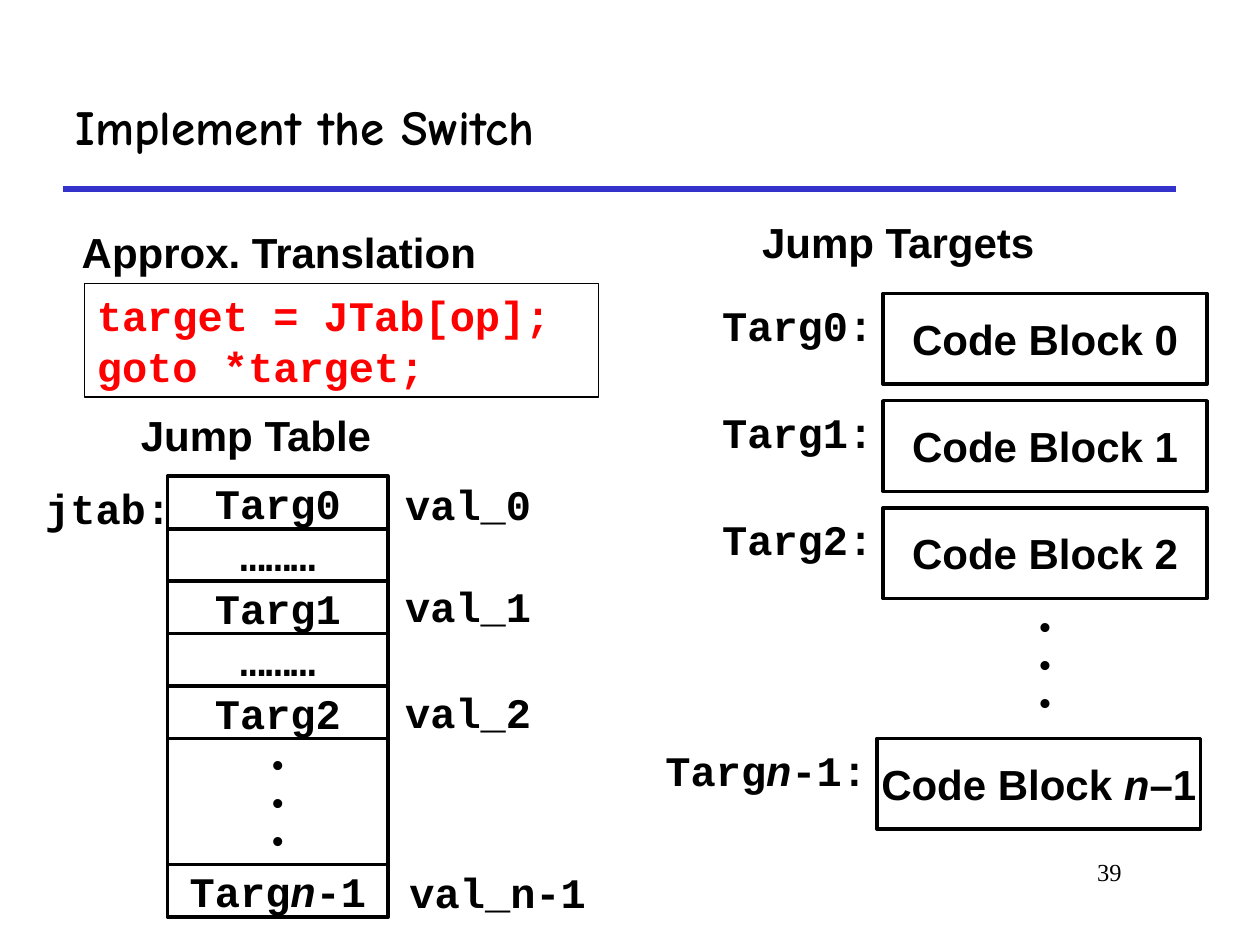
from lxml.etree import SubElement
from pptx import Presentation
from pptx.dml.color import RGBColor
from pptx.enum.shapes import MSO_CONNECTOR, MSO_SHAPE
from pptx.enum.text import MSO_ANCHOR, MSO_AUTO_SIZE, PP_ALIGN
from pptx.oxml.ns import qn
from pptx.util import Inches, Pt

BLACK = RGBColor(0x00, 0x00, 0x00)
WHITE = RGBColor(0xFF, 0xFF, 0xFF)
RED = RGBColor(0xFF, 0x00, 0x00)
BLUE = RGBColor(0x33, 0x33, 0xCC)
SANS, MONO = "Arial", "Courier New"
LEFT, CENTER, RIGHT = PP_ALIGN.LEFT, PP_ALIGN.CENTER, PP_ALIGN.RIGHT
DOTS = [("•",)] * 3


class SlideBuilder:
    """Holds the text style and the slide being drawn."""

    def __init__(self, page):
        self.page = page

    def add_lines(self, frame, lines, font=SANS, size=24, color=BLACK,
                  align=LEFT, bold=True):
        """Each line is a tuple of spans; every second span is italic."""
        for number, line in enumerate(lines):
            para = frame.add_paragraph() if number else frame.paragraphs[0]
            para.alignment = align
            for position, text in enumerate(line):
                span = para.add_run()
                span.text = text
                span.font.name = font
                span.font.size = Pt(size)
                span.font.bold = bold
                span.font.italic = position % 2 == 1
                span.font.color.rgb = color

    def title(self, text, left, top, width, height):
        box = self.page.shapes.title
        box.left, box.top = Inches(left), Inches(top)
        box.width, box.height = Inches(width), Inches(height)
        box.text_frame.vertical_anchor = MSO_ANCHOR.MIDDLE
        box.text_frame.auto_size = MSO_AUTO_SIZE.NONE
        self.add_lines(box.text_frame, [(text,)], "Comic Neue", 28)

    def rule(self, left, right, top):
        line = self.page.shapes.add_connector(
            MSO_CONNECTOR.STRAIGHT, Inches(left), Inches(top),
            Inches(right), Inches(top))
        line.line.color.rgb = BLUE
        line.line.width = Pt(3)
        SubElement(line._element.spPr, qn("a:effectLst"))

    def label(self, lines, left, top, width, height=0.5, wrap=False, **style):
        box = self.page.shapes.add_textbox(
            Inches(left), Inches(top), Inches(width), Inches(height))
        box.text_frame.word_wrap = wrap
        self.add_lines(box.text_frame, lines, **style)

    def rectangle(self, lines, left, top, width, height, fill=WHITE,
                  line_width=2, anchor=MSO_ANCHOR.MIDDLE, wrap=False,
                  align=CENTER, **style):
        box = self.page.shapes.add_shape(
            MSO_SHAPE.RECTANGLE, Inches(left), Inches(top),
            Inches(width), Inches(height))
        box.shadow.inherit = False
        if fill is None:
            box.fill.background()
        else:
            box.fill.solid()
            box.fill.fore_color.rgb = fill
        if line_width:
            box.line.color.rgb = BLACK
            box.line.width = Pt(line_width)
        else:
            box.line.fill.background()
        box.text_frame.word_wrap = wrap
        box.text_frame.vertical_anchor = anchor
        self.add_lines(box.text_frame, lines, align=align, **style)


def draw_targets(builder):
    builder.label([("Jump Targets",)], 5.95, 1.67, 2.38)
    for index in range(3):
        top = 2.33 + 0.85 * index
        builder.rectangle([(f"Code Block {index}",)], 7.01, top, 2.57, 0.72)
        builder.label([(f"Targ{index}:",)], 5.63, top, 1.4,
                      font=MONO, align=RIGHT)
    builder.rectangle(DOTS, 7.01, 4.88, 2.57, 0.78, line_width=0,
                      font=MONO, size=18)
    builder.rectangle([("Code Block ", "n", "–1")], 6.96, 5.86, 2.57, 0.72)
    builder.label([("Targ", "n", "-1:")], 5.18, 5.86, 1.8,
                  font=MONO, align=RIGHT)


def draw_translation(builder):
    builder.label([("Approx. Translation",)], 0.55, 1.75, 3.35)
    builder.rectangle([("target = JTab[op];",), ("goto *target;",)],
                      0.67, 2.25, 4.08, 0.9, fill=None, line_width=1,
                      anchor=MSO_ANCHOR.TOP, wrap=True, align=LEFT,
                      font=MONO, color=RED)


def draw_jump_table(builder):
    left, top, width, row = 1.33, 3.78, 1.75, 2.5 / 6
    builder.label([("Jump Table",)], 1.02, 3.2, 2.05)
    builder.label([("jtab:",)], 0.26, top, 1.2, font=MONO)

    # Entries with a gap row between each two
    entries = ["Targ0", "………", "Targ1", "………", "Targ2"]
    for index, entry in enumerate(entries):
        builder.rectangle([(entry,)], left, top + row * index, width, row,
                          font=MONO)
    dots_top = top + row * len(entries)
    builder.rectangle(DOTS, left, dots_top, width, 1, font=MONO, size=18)
    builder.rectangle([("Targ", "n", "-1")], left, dots_top + 1, width, row,
                      font=MONO)

    # Case values beside the entries
    for index, value_top in enumerate((3.75, 4.56, 5.4)):
        builder.label([(f"val_{index}",)], 3.11, value_top, 1.21, wrap=True,
                      font=MONO, align=CENTER)
    builder.label([("val_n-1",)], 3.1, 6.83, 1.7, wrap=True,
                  font=MONO, align=CENTER)


def main():
    deck = Presentation()
    deck.slide_width, deck.slide_height = Inches(10), Inches(7.5)
    builder = SlideBuilder(deck.slides.add_slide(deck.slide_layouts[5]))

    # Heading and page number
    builder.rule(0.5, 9.33, 1.5)
    builder.title("Implement the Switch", 0.5, 0.5, 8.83, 1)
    builder.label([("39",)], 7.58, 6.75, 1.42, wrap=True, size=14,
                  font="Times New Roman", align=RIGHT, bold=False)

    draw_targets(builder)
    draw_translation(builder)
    draw_jump_table(builder)
    deck.save("out.pptx")


if __name__ == "__main__":
    main()
